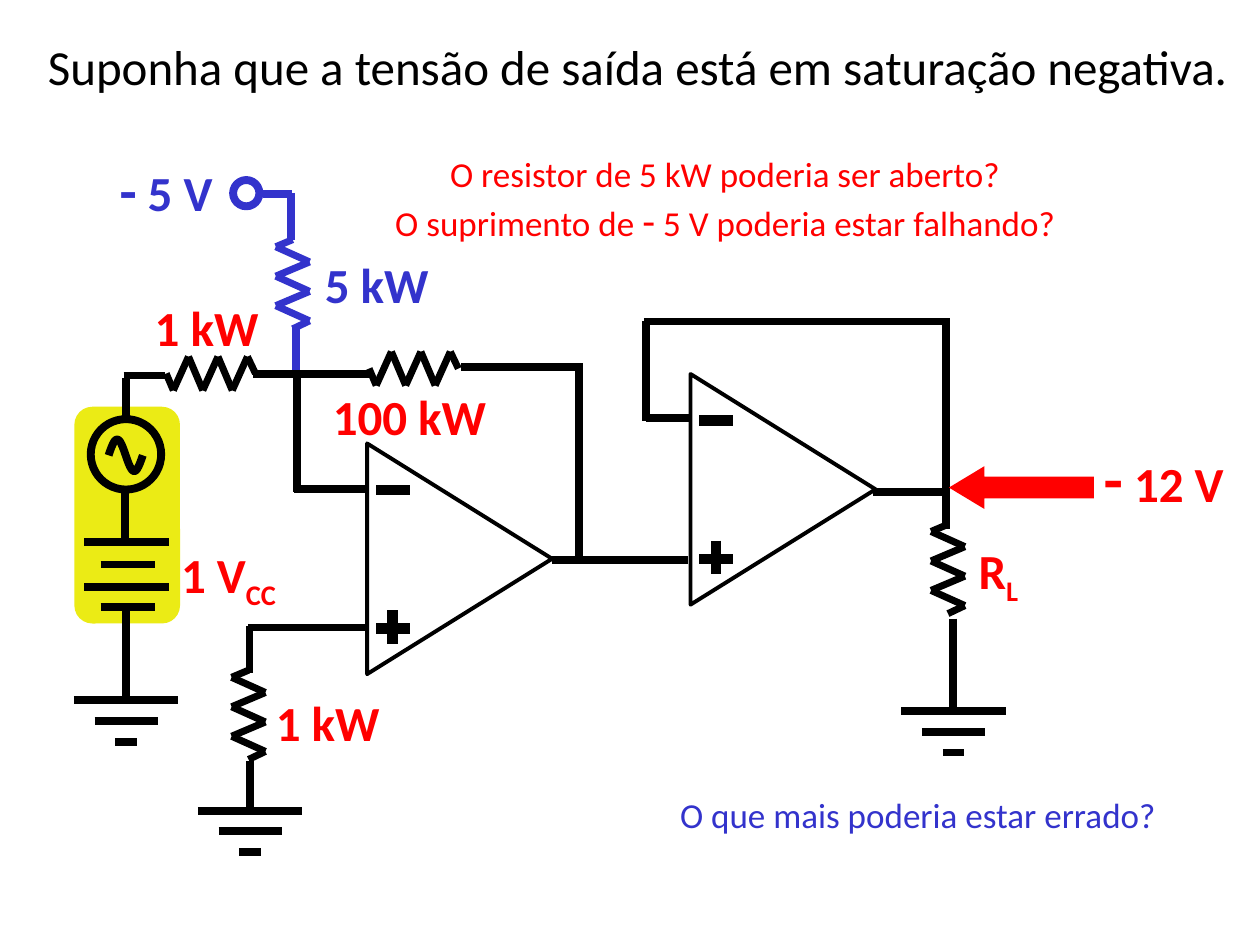
from itertools import pairwise
from math import pi, sin

from lxml.etree import SubElement
from pptx import Presentation
from pptx.dml.color import RGBColor
from pptx.enum.shapes import MSO_CONNECTOR as CONN, MSO_SHAPE as SHAPE
from pptx.enum.text import MSO_AUTO_SIZE as FIT, PP_ALIGN as ALIGN
from pptx.oxml.ns import qn
from pptx.util import Cm, Pt

BLACK, RED, BLUE, YELLOW = "000000", "FF0000", "3333CC", "EBEB15"
ZIGZAG = [(0.5, 0), (0, 0.08), (1, 0.25), (0, 0.41),
          (1, 0.58), (0, 0.74), (1, 0.91), (0.5, 1)]


def rgb(value):
    return RGBColor.from_string(value)


def style(sp, fill=None, line=None, width=4.5):
    sp.shadow.inherit = False
    if fill:
        sp.fill.solid()
        sp.fill.fore_color.rgb = rgb(fill)
    else:
        sp.fill.background()
    if line:
        sp.line.color.rgb = rgb(line)
        sp.line.width = Pt(width)
    else:
        sp.line.fill.background()


def add_shape(s, kind, x, y, w, h, **look):
    sp = s.shapes.add_shape(kind, Cm(x), Cm(y), Cm(w), Cm(h))
    style(sp, **look)
    return sp


def add_lines(s, x, y, segments, color=BLACK, width=4.5):
    for x1, y1, x2, y2 in segments:
        c = s.shapes.add_connector(CONN.STRAIGHT, Cm(x + x1), Cm(y + y1), Cm(x + x2), Cm(y + y2))
        c.line.color.rgb = rgb(color)
        c.line.width = Pt(width)
        SubElement(c._element.spPr, qn("a:effectLst"))


def add_resistor(s, x, y, color=BLACK, upright=True, length=1.8, breadth=0.68):
    pts = [(a * breadth, b * length) if upright else (b * length, (1 - a) * breadth)
           for a, b in ZIGZAG]
    add_lines(s, x, y, [(*p, *q) for p, q in pairwise(pts)], color, 4)


def add_ground(s, x, y, stem):
    bars = [(-w / 2, stem + i * 0.42, w / 2, stem + i * 0.42)
            for i, w in enumerate((2.1, 1.27, 0.43))]
    add_lines(s, x, y, [(0, 0, 0, stem), *bars])


def add_opamp(s, x, y, w=3.73, h=4.65):
    sp = add_shape(s, SHAPE.ISOSCELES_TRIANGLE, x + (w - h) / 2, y + (h - w) / 2, h, w,
                   line=BLACK, width=2.25)
    sp.rotation = 90
    add_lines(s, x, y, [(0.18, 0.94, 0.86, 0.94), (0.18, 3.73, 0.86, 3.73),
                        (0.51, 3.36, 0.51, 4.04)], width=6)


def add_source(s, x, y, w, h):
    sp = add_shape(s, SHAPE.ROUNDED_RECTANGLE, x, y, w, h, fill=YELLOW)
    sp.adjustments[0] = 0.17
    add_shape(s, SHAPE.OVAL, x + 0.33, y + 0.25, 1.42, 1.42, line=BLACK)
    wave = [(Cm(x + 0.69 + 0.69 * i / 24), Cm(y + 0.98 - 0.32 * sin(2 * pi * i / 24)))
            for i in range(25)]
    fb = s.shapes.build_freeform(*wave[0], scale=1.0)
    fb.add_line_segments(wave[1:], close=False)
    style(fb.convert_to_shape(), line=BLACK)
    plates = [(0.2, 2.72, 1.91, 2.72), (0.53, 3.18, 1.63, 3.18),
              (0.2, 3.63, 1.91, 3.63), (0.53, 4.04, 1.63, 4.04)]
    add_lines(s, x, y, [(1.02, 1.73, 1.02, 2.72), *plates])


def add_supply(s, x, y):
    add_shape(s, SHAPE.OVAL, x, y, 0.53, 0.53, line=BLUE)
    add_lines(s, x, y, [(0.61, 0.28, 1.19, 0.28), (1.17, 0.26, 1.17, 1.2),
                        (1.27, 2.97, 1.27, 3.94)], BLUE)
    add_resistor(s, x + 0.86, y + 1.2, BLUE)


def add_input_stage(s, x, y):
    add_lines(s, x, y, [
        (0, 0.18, 0.84, 0.18), (0.05, 0.23, 0.05, 1.04), (2.62, 0.15, 4.98, 0.15),
        (3.5, 0.18, 3.5, 2.52), (3.43, 2.47, 4.9, 2.47), (6.81, 0, 9.27, 0),
        (9.19, 0.05, 9.19, 3.84), (8.64, 3.89, 11.38, 3.89),
        (2.51, 5.26, 4.9, 5.26), (2.54, 5.23, 2.54, 6.17)])
    add_opamp(s, x + 4.91, y + 1.55)
    add_resistor(s, x + 0.86, y - 0.2, upright=False)
    add_resistor(s, x + 4.95, y - 0.3, upright=False)
    add_resistor(s, x + 2.18, y + 6.12)
    add_ground(s, x + 0.05, y + 4.88, 1.85)
    add_ground(s, x + 2.55, y + 7.95, 1)


def add_output_stage(s, x, y):
    add_lines(s, x, y, [
        (0, 0, 6.17, 0), (0.05, 0, 0.05, 2), (0.05, 1.95, 0.91, 1.95),
        (6.1, 0.05, 6.1, 4.19), (4.62, 3.43, 6.15, 3.43)])
    add_opamp(s, x + 0.94, y + 1.06)
    add_resistor(s, x + 5.79, y + 4.09)
    add_ground(s, x + 6.24, y + 5.99, 1.86)
    sp = add_shape(s, SHAPE.LEFT_ARROW, x + 6.15, y + 2.92, 2.92, 0.86, fill=RED)
    sp.adjustments[0] = 0.51
    sp.adjustments[1] = 0.83


def add_label(s, box, lines, color, size=28, bold=True, align=ALIGN.LEFT):
    tf = s.shapes.add_textbox(*map(Cm, box)).text_frame
    tf.word_wrap = False
    tf.auto_size = FIT.SHAPE_TO_FIT_TEXT
    for i, parts in enumerate(lines):
        p = tf.paragraphs[0] if i == 0 else tf.add_paragraph()
        p.alignment = align
        for text, own_size, baseline in parts:
            r = p.add_run()
            r.text = text
            r.font.name = "Calibri"
            r.font.size = Pt(own_size or size)
            r.font.bold = bold
            r.font.color.rgb = rgb(color)
            if baseline:
                r._r.get_or_add_rPr().set("baseline", str(baseline))


def plain(text):
    return text, None, None


def add_labels(s):
    for x, y, w, text, color in [
            (6.46, 7.67, 3.62, "100 kW", RED), (5.31, 13.84, 2.59, "1 kW", RED),
            (2.87, 5.87, 2.59, "1 kW", RED), (6.3, 5, 2.59, "5 kW", BLUE)]:
        add_label(s, (x, y, w, 1.45), [[plain(text)]], color)
    for x, y, w, base, sub in [(3.4, 10.85, 2.41, "1 V", "CC"), (19.48, 10.77, 1.3, "R", "L")]:
        add_label(s, (x, y, w, 1.6), [[plain(base), (sub, None, -25000)]], RED)
    add_label(s, (2.16, 3.02, 2.39, 1.63), [[("-", 32, None), plain(" 5 V")]], BLUE)
    add_label(s, (22, 8.74, 2.92, 1.78), [[("-", 36, None), plain(" 12 V")]], RED)


def add_texts(s):
    add_label(s, (0.66, 0.61, 24.38, 1.45),
              [[plain("Suponha que a tensão de saída está em saturação negativa.")]],
              BLACK, bold=False, align=ALIGN.CENTER)
    add_label(s, (7.7, 2.95, 13.84, 2.13),
              [[plain("O resistor de 5 kW poderia ser aberto?")],
               [plain("O suprimento de "), ("-", 24, None),
                plain(" 5 V poderia estar falhando?")]],
              RED, 20, False, ALIGN.CENTER)
    add_label(s, (13.46, 15.88, 10.13, 1.12),
              [[plain("O que mais poderia estar errado?")]], BLUE, 20, False)


def main():
    prs = Presentation()
    prs.slide_width, prs.slide_height = Cm(25.4), Cm(19.05)
    s = prs.slides.add_slide(prs.slide_layouts[6])
    add_source(s, 1.5, 8.2, 2.13, 4.37)
    add_supply(s, 4.7, 3.63)
    add_input_stage(s, 2.49, 7.39)
    add_output_stage(s, 12.98, 6.48)
    add_labels(s)
    add_texts(s)
    prs.save("out.pptx")


if __name__ == "__main__":
    main()
